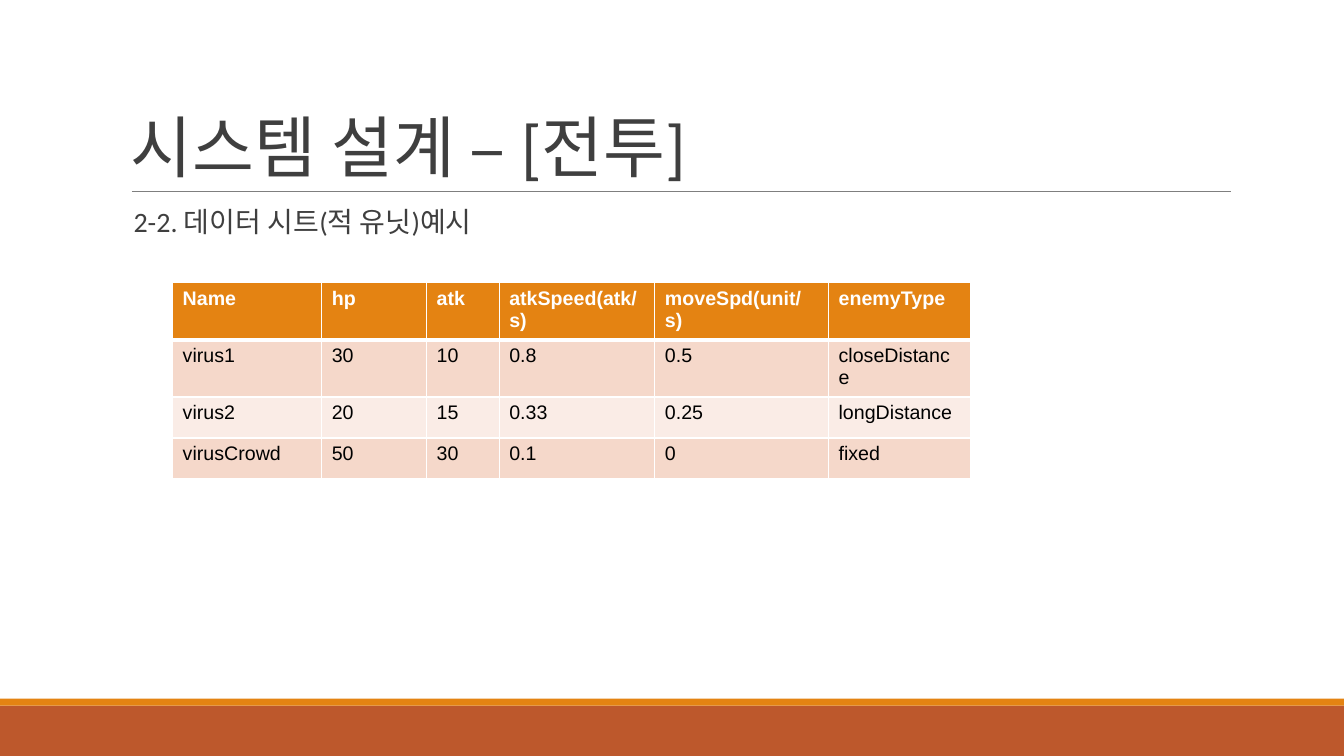
"""Build the enemy unit data sheet slide."""
from pptx import Presentation
from pptx.dml.color import RGBColor
from pptx.enum.shapes import MSO_CONNECTOR, MSO_SHAPE
from pptx.enum.text import MSO_ANCHOR
from pptx.oxml.ns import qn
from pptx.util import Pt
from lxml.etree import SubElement

COLORS = {"band": "BD582C", "accent": "E48312", "rule": "7F7F7F", "text": "3F3F3F",
          "white": "FFFFFF", "black": "000000", "odd": "F5D8CA", "even": "FAECE6"}
BANDS = [("band", 504, 36), ("accent", 499, 5)]
HEADINGS = [
    {"text": "시스템 설계 – [전투]", "place": (86.4, 22.3, 792, 114.5), "size": 48, "spacing": 0.85,
     "before": 0, "left": 7.2, "anchor": MSO_ANCHOR.BOTTOM},
    {"text": "2-2. 데이터 시트(적 유닛)예시", "place": (86.4, 145.4, 792, 40), "size": 20, "spacing": 0.9,
     "before": 14, "left": 9, "anchor": MSO_ANCHOR.TOP},
]
ENEMIES = [
    ("Name", "hp", "atk", "atkSpeed(atk/s)", "moveSpd(unit/s)", "enemyType"),
    ("virus1", "30", "10", "0.8", "0.5", "closeDistance"),
    ("virus2", "20", "15", "0.33", "0.25", "longDistance"),
    ("virusCrowd", "50", "30", "0.1", "0", "fixed"),
]
COLUMN_WIDTHS = [106.5, 74.9, 51.9, 111.2, 124.1, 101.3]
ROW_HEIGHT = 29.2
TABLE_LEFT, TABLE_TOP = 123.3, 201.9


def color(name):
    """Return a named colour."""
    return RGBColor.from_string(COLORS[name])


def apply(target, values):
    """Set attributes from a dict."""
    for name, value in values.items():
        setattr(target, name, value)


def write(para, text, size, font, tint, bold=False):
    """Add one formatted span to a paragraph."""
    span = para.add_run()
    span.text = text
    apply(span.font, {"size": Pt(size), "name": font, "bold": bold})
    span.font.color.rgb = color(tint)


def add_band(page, tint, top, height):
    """Add a full-width band at the foot."""
    band = page.shapes.add_shape(MSO_SHAPE.RECTANGLE, 0, Pt(top), Pt(960), Pt(height))
    band.shadow.inherit = False
    band.fill.solid()
    band.fill.fore_color.rgb = color(tint)
    band.line.fill.background()


def add_rule(page):
    """Add the thin line below the title."""
    rule = page.shapes.add_connector(MSO_CONNECTOR.STRAIGHT, Pt(94.3), Pt(136.8), Pt(879), Pt(136.8))
    rule.line.color.rgb = color("rule")
    rule.line.width = Pt(0.75)
    SubElement(rule.element.spPr, qn("a:effectLst"))


def add_heading(page, heading):
    """Add a heading text box."""
    box = page.shapes.add_textbox(*map(Pt, heading["place"]))
    apply(box.text_frame, {"word_wrap": True, "vertical_anchor": heading["anchor"],
                           "margin_left": Pt(heading["left"])})
    para = box.text_frame.paragraphs[0]
    apply(para, {"line_spacing": heading["spacing"], "space_before": Pt(heading["before"])})
    write(para, heading["text"], heading["size"], "Calibri", "text")


def add_borders(cell, row):
    """Draw white borders, thick between the header and the first row."""
    widths = {"lnL": 1, "lnR": 1, "lnT": 3 if row == 1 else 1, "lnB": 3 if row == 0 else 1}
    properties = cell._tc.get_or_add_tcPr()
    for position, (tag, width) in enumerate(widths.items()):
        border = properties.makeelement(qn("a:" + tag), {"w": str(Pt(width))})
        fill = SubElement(border, qn("a:solidFill"))
        SubElement(fill, qn("a:srgbClr"), val=COLORS["white"])
        properties.insert(position, border)


def add_enemy_table(page):
    """Add the table of enemy units."""
    frame = page.shapes.add_table(len(ENEMIES), len(COLUMN_WIDTHS), Pt(TABLE_LEFT), Pt(TABLE_TOP),
                                  Pt(sum(COLUMN_WIDTHS)), Pt(ROW_HEIGHT * len(ENEMIES)))
    table = frame.table
    for column, width in zip(table.columns, COLUMN_WIDTHS):
        column.width = Pt(width)
    for row, values in enumerate(ENEMIES):
        table.rows[row].height = Pt(ROW_HEIGHT)
        header = row == 0
        tint = "accent" if header else "odd" if row % 2 else "even"
        for column, text in enumerate(values):
            cell = table.cell(row, column)
            cell.fill.solid()
            cell.fill.fore_color.rgb = color(tint)
            add_borders(cell, row)
            write(cell.text_frame.paragraphs[0], text, 14, "Arial", "white" if header else "black", header)


def main():
    """Create and save the deck."""
    deck = Presentation()
    apply(deck, {"slide_width": Pt(960), "slide_height": Pt(540)})
    page = deck.slides.add_slide(deck.slide_layouts[6])
    for band in BANDS:
        add_band(page, *band)
    add_rule(page)
    for heading in HEADINGS:
        add_heading(page, heading)
    add_enemy_table(page)
    deck.save("out.pptx")


if __name__ == "__main__":
    main()
